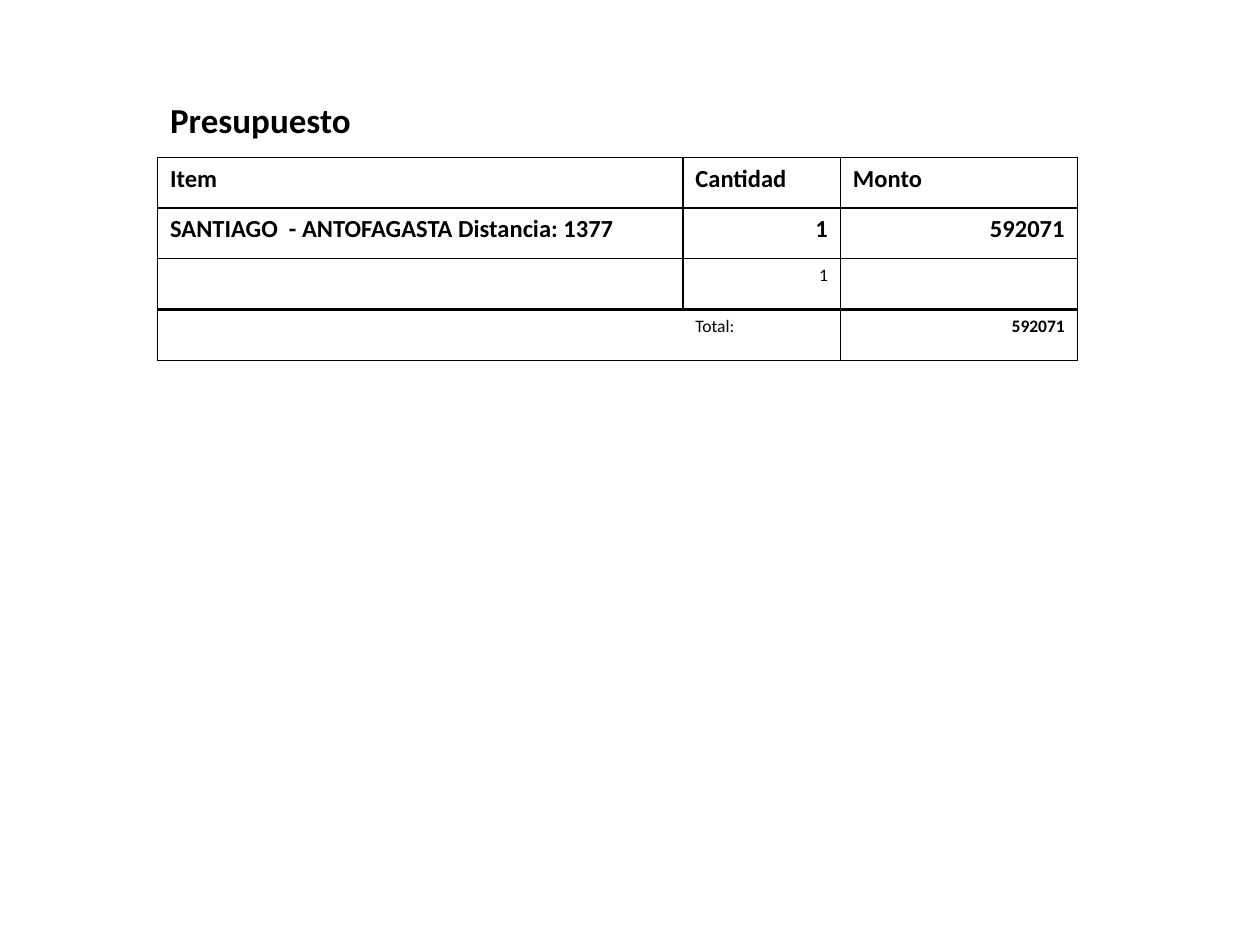
"""Build the budget slide with its title and table."""
from dataclasses import dataclass

from lxml.etree import SubElement as Sub
from pptx import Presentation
from pptx.dml.color import RGBColor as RGB
from pptx.enum.text import MSO_ANCHOR as Anchor, PP_ALIGN as Align
from pptx.oxml.ns import qn
from pptx.util import Inches, Pt


@dataclass(frozen=True)
class Theme:
    font: str = "Calibri"
    ink: str = "000000"
    paper: str = "FFFFFF"
    title: int = 20
    head: int = 14
    small: int = 10
    thin: int = 1
    thick: int = 2


class Deck:
    def __init__(self, prs, theme):
        self.theme = theme
        self.slide = prs.slides.add_slide(prs.slide_layouts[5])

    def text(self, frame, words, size, bold, align=Align.LEFT):
        para = frame.paragraphs[0]
        para.alignment = align
        run = para.add_run()
        run.text = words
        font = run.font
        font.name, font.size, font.bold = self.theme.font, Pt(size), bold
        font.color.rgb = RGB.from_string(self.theme.ink)

    def title(self, words, left, top, width, height):
        shape = self.slide.shapes.title
        shape.left, shape.top = Inches(left), Inches(top)
        shape.width, shape.height = Inches(width), Inches(height)
        frame = shape.text_frame
        frame.word_wrap = True
        frame.vertical_anchor = Anchor.TOP
        self.text(frame, words, self.theme.title, True)

    def edge(self, cell, side, width):
        props = cell._tc.get_or_add_tcPr()
        line = Sub(props, qn(f"a:ln{side}"), w=str(Pt(width)))
        if width:
            fill = Sub(line, qn("a:solidFill"))
            Sub(fill, qn("a:srgbClr"), val=self.theme.ink)
        else:
            Sub(line, qn("a:noFill"))

    def cell(self, cell, item, edges, filled):
        for side in "LRTB":
            self.edge(cell, side, edges.get(side, self.theme.thin))
        if filled:
            cell.fill.solid()
            cell.fill.fore_color.rgb = RGB.from_string(self.theme.paper)
        else:
            cell.fill.background()
        if item:
            self.text(cell.text_frame, *item)

    def table(self, rows, cols, left, top, tall):
        frame = self.slide.shapes.add_table(
            len(rows), len(cols), Inches(left), Inches(top),
            Inches(sum(cols)), Inches(tall * len(rows)))
        table = frame.table
        table.first_row = table.horz_banding = False
        for col, width in zip(table.columns, cols):
            col.width = Inches(width)
        last = len(rows) - 1
        for r, row in enumerate(rows):
            table.rows[r].height = Inches(tall)
            for c, item in enumerate(row):
                edges = {}
                if r == last - 1:
                    edges["B"] = self.theme.thick
                if r == last:
                    edges["T"] = self.theme.thick
                    if c < 2:
                        edges["LR"[c == 0]] = 0
                self.cell(table.cell(r, c), item, edges, r < last)


def main():
    prs = Presentation()
    prs.slide_width, prs.slide_height = Inches(10), Inches(7.5)
    theme = Theme()
    deck = Deck(prs, theme)
    head, small = theme.head, theme.small
    rows = [
        [(name, head, True) for name in ("Item", "Cantidad", "Monto")],
        [("SANTIAGO  - ANTOFAGASTA Distancia: 1377", head, True),
         ("1", head, True, Align.RIGHT),
         ("592071", head, True, Align.RIGHT)],
        [None, ("1", small, False, Align.RIGHT), None],
        [None, ("Total:", small, False),
         ("592071", small, True, Align.RIGHT)],
    ]
    deck.title("Presupuesto", 1.25, 0.73, 6.25, 3.12)
    deck.table(rows, (4.17, 1.25, 1.88), 1.25, 1.25, 0.4)
    prs.save("out.pptx")


if __name__ == "__main__":
    main()
